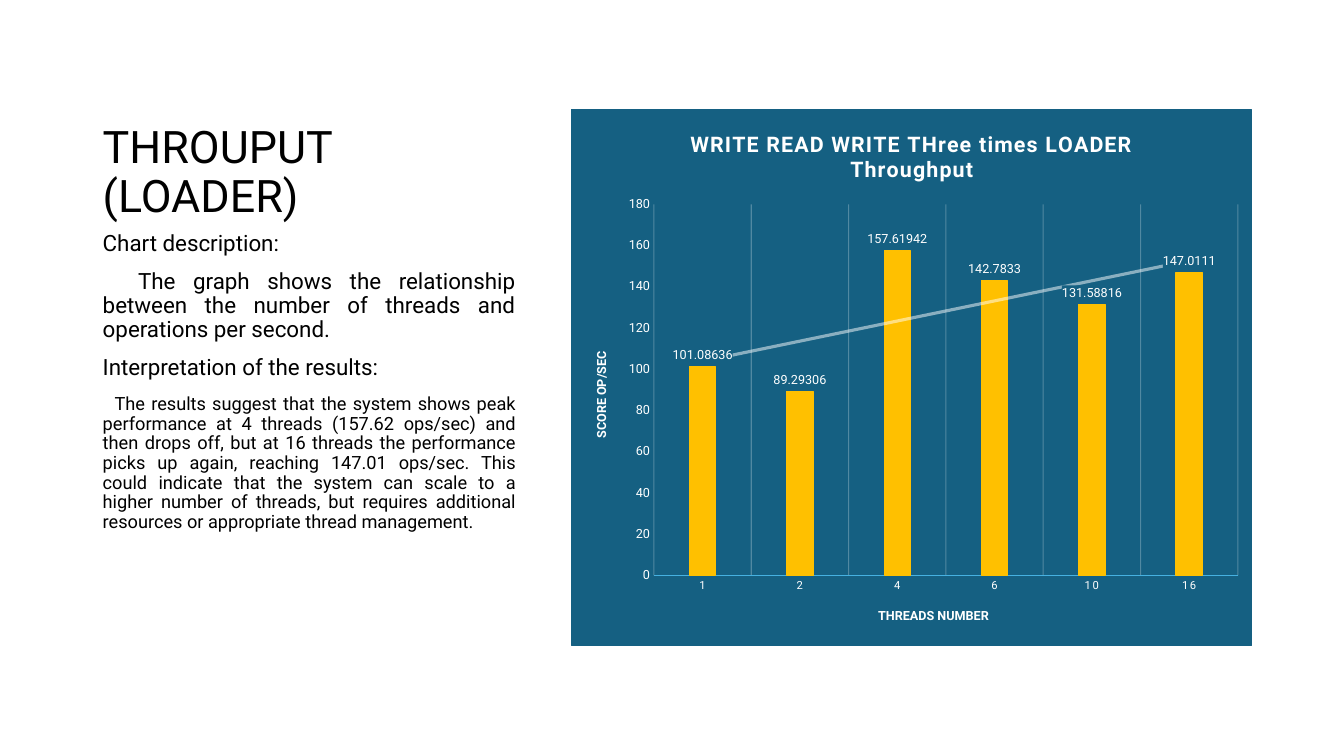
from lxml import etree
from pptx import Presentation
from pptx.chart.data import CategoryChartData
from pptx.dml.color import RGBColor
from pptx.enum.chart import XL_CHART_TYPE as ChartType
from pptx.enum.chart import XL_LABEL_POSITION as LabelPosition
from pptx.enum.chart import XL_TICK_MARK as TickMark
from pptx.enum.text import MSO_ANCHOR as Anchor
from pptx.enum.text import PP_ALIGN as Align
from pptx.oxml import parse_xml
from pptx.oxml.ns import nsdecls, qn
from pptx.util import Cm, Pt

# Content
HEADING = "THROUPUT (LOADER)"
# text, size, justified, first-line indent in cm
NOTES = [
    ("Chart description:", 16, False, 0),
    ("The graph shows the relationship between the number of threads and "
     "operations per second.", 16, True, 0.89),
    ("Interpretation of the results:", 16, False, 0),
    ("The results suggest that the system shows peak performance at 4 threads "
     "(157.62 ops/sec) and then drops off, but at 16 threads the performance "
     "picks up again, reaching 147.01 ops/sec. This could indicate that the "
     "system can scale to a higher number of threads, but requires additional "
     "resources or appropriate thread management.", 13, True, 0.3),
]
CHART_TITLE = "WRITE READ WRITE THree times LOADER Throughput"
THREADS_TITLE, SCORE_TITLE = "THREADS NUMBER", "SCORE OP/SEC"
SCORES = {"1": 101.08636, "2": 89.29306, "4": 157.61942,
          "6": 142.7833, "10": 131.58816, "16": 147.0111}

FONT = "Roboto"
BLACK, WHITE, TEAL, AMBER, SKY = "000000", "FFFFFF", "156082", "FFC000", "46B1E1"

# Places: left, top, width, height in cm
HEADING_BOX = (2.34, 1.27, 10.91, 4.45)
NOTES_BOX = (2.34, 5.72, 10.9, 10.58)
CHART_BOX = (14.4, 2.75, 17.15, 13.54)
# Places inside the chart, in cm
PLOT_AREA = {"x": 2.07, "y": 2.39, "w": 14.74, "h": 9.37}
THREADS_SPOT = {"x": 7.67, "y": 12.52}
SCORE_SPOT = {"x": 0.48, "y": 6.04}


def rgb(code):
    return RGBColor.from_string(code)


def style(font, size, color=WHITE, bold=False, spacing=0):
    font.name, font.size, font.bold = FONT, Pt(size), bold
    font.color.rgb = rgb(color)
    if spacing:
        font._element.set("spc", str(spacing))


def write(paragraph, text, align=None, indent=0, before=0, line=None, **look):
    run = paragraph.add_run()
    run.text = text
    style(run.font, **look)
    paragraph.alignment = align
    paragraph.space_before = Pt(before)
    if line:
        paragraph.line_spacing = line
    if indent:
        paragraph._p.get_or_add_pPr().set("indent", str(Cm(indent)))


def add_text_frame(slide, box, anchor):
    frame = slide.shapes.add_textbox(*map(Cm, box)).text_frame
    frame.word_wrap = True
    frame.vertical_anchor = anchor
    return frame


def solid(color, alpha=100):
    return (f'<a:solidFill><a:srgbClr val="{color}">'
            f'<a:alpha val="{alpha * 1000}"/></a:srgbClr></a:solidFill>')


def chart_xml(tag, inner):
    return parse_xml(f'<c:{tag} {nsdecls("c", "a")}>{inner}</c:{tag}>')


def place(parent, index, spot):
    """Fix a chart part; lengths become fractions of the chart's size."""
    for old in parent.findall(qn("c:layout")):
        parent.remove(old)
    width, height = CHART_BOX[2:]
    inner = '<c:layoutTarget val="inner"/>' if "w" in spot else ""
    inner += '<c:xMode val="edge"/><c:yMode val="edge"/>'
    for key, length in spot.items():
        inner += f'<c:{key} val="{length / (width if key in "xw" else height)}"/>'
    parent.insert(index, chart_xml("layout", f"<c:manualLayout>{inner}</c:manualLayout>"))


def style_axis(axis, title, size, spacing, spot):
    axis.major_tick_mark = axis.minor_tick_mark = TickMark.NONE
    style(axis.tick_labels.font, size, spacing=spacing)
    write(axis.axis_title.text_frame.paragraphs[0], title, size=9, bold=True)
    place(axis.axis_title._element, 1, spot)


def add_score_chart(slide):
    data = CategoryChartData()
    data.categories = list(SCORES)
    data.add_series("Series 1", list(SCORES.values()))
    chart = slide.shapes.add_chart(
        ChartType.COLUMN_CLUSTERED, *map(Cm, CHART_BOX), data).chart
    chart.has_legend = False
    style(chart.font, 10, BLACK)

    # Background, title and plot area
    space = chart._chartSpace
    space.find(qn("c:txPr")).addprevious(chart_xml(
        "spPr", solid(TEAL) + f'<a:ln w="9525">{solid(TEAL)}</a:ln>'))
    write(chart.chart_title.text_frame.paragraphs[0], CHART_TITLE,
          size=15.3, bold=True, spacing=100)
    chart.chart_title.include_in_layout = False
    place(space.chart.plotArea, 0, PLOT_AREA)

    # Axes
    threads, score = chart.category_axis, chart.value_axis
    style_axis(threads, THREADS_TITLE, 8, 100, THREADS_SPOT)
    style_axis(score, SCORE_TITLE, 9, 0, SCORE_SPOT)
    threads.format.line.color.rgb = rgb(SKY)
    threads.format.line.width = Pt(0.25)
    threads.has_major_gridlines = True
    grid = threads.major_gridlines.format.line
    grid.color.rgb, grid.width = rgb(WHITE), Pt(0.75)
    grid_color = threads._element.xpath("c:majorGridlines//a:srgbClr")[0]
    etree.SubElement(grid_color, qn("a:alpha")).set("val", "25000")
    score.has_major_gridlines = False
    score.format.line.fill.background()
    score.minimum_scale, score.maximum_scale, score.major_unit = 0, 180, 20

    # Columns, labels and trend
    plot = chart.plots[0]
    plot.gap_width, plot.overlap, plot.vary_by_categories = 269, -20, False
    columns = plot.series[0]
    columns.format.fill.solid()
    columns.format.fill.fore_color.rgb = rgb(AMBER)
    columns.format.line.color.rgb = rgb(AMBER)
    columns.format.line.width = Pt(0.75)
    labels = columns.data_labels
    labels.show_value = True
    labels.position = LabelPosition.OUTSIDE_END
    style(labels.font, 9)
    labels._element.find(qn("c:txPr")).addprevious(chart_xml("spPr", solid(TEAL)))
    columns._element.find(qn("c:cat")).addprevious(chart_xml(
        "trendline",
        f'<c:spPr><a:ln w="28575" cap="rnd">{solid(WHITE, 50)}</a:ln></c:spPr>'
        '<c:trendlineType val="linear"/><c:dispRSqr val="0"/><c:dispEq val="0"/>'))


def main():
    deck = Presentation()
    deck.slide_width, deck.slide_height = Cm(33.87), Cm(19.05)
    slide = deck.slides.add_slide(deck.slide_layouts[6])

    # Heading and notes
    heading = add_text_frame(slide, HEADING_BOX, Anchor.BOTTOM)
    write(heading.paragraphs[0], HEADING, size=32, color=BLACK, line=0.9)
    notes = add_text_frame(slide, NOTES_BOX, Anchor.TOP)
    for number, (text, size, justified, indent) in enumerate(NOTES):
        paragraph = notes.add_paragraph() if number else notes.paragraphs[0]
        write(paragraph, text, size=size, color=BLACK, indent=indent, before=10,
              line=0.9, align=Align.JUSTIFY if justified else Align.LEFT)

    add_score_chart(slide)
    deck.save("out.pptx")


if __name__ == "__main__":
    main()
